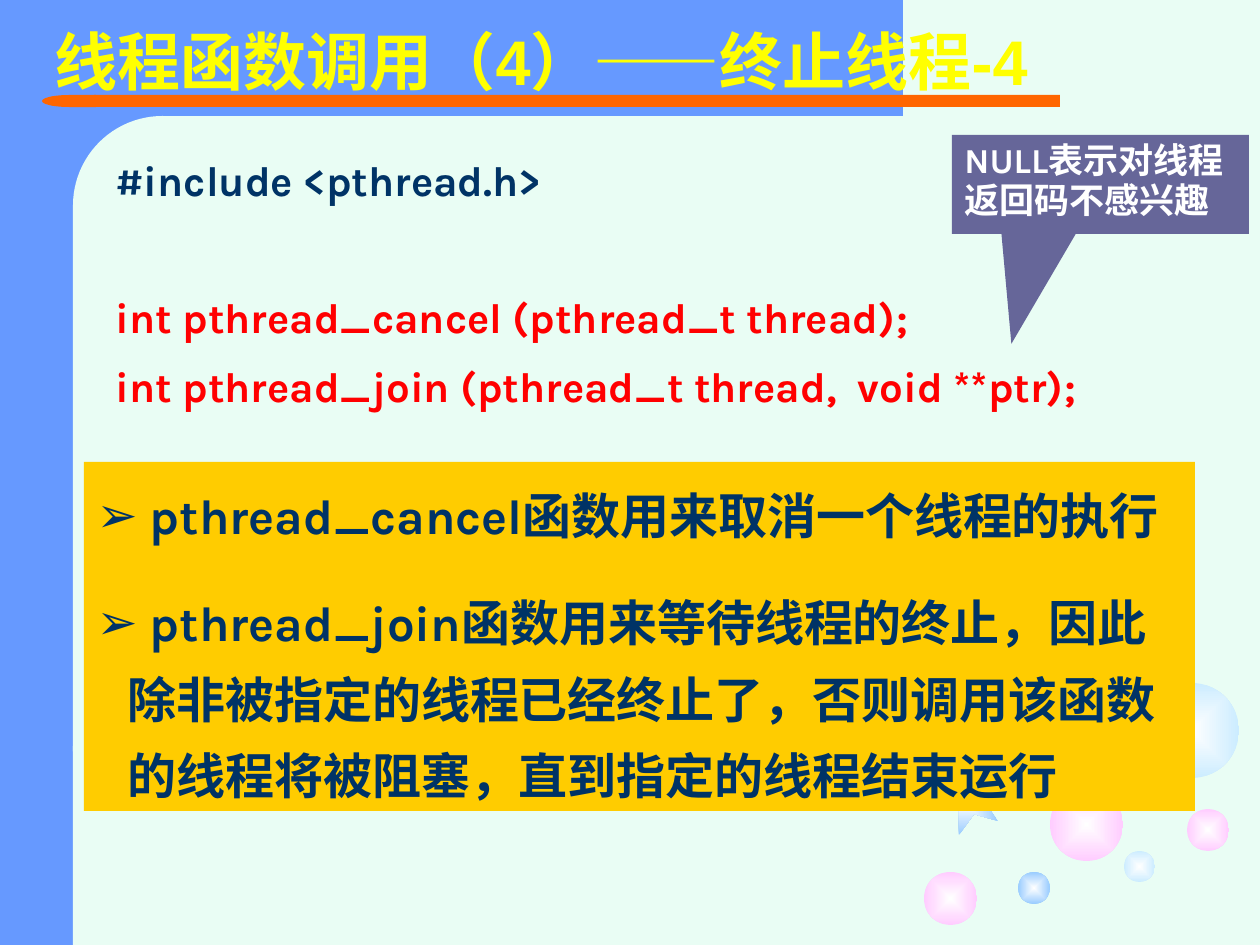
"""Build the slide on cancelling and joining POSIX threads."""
from lxml.etree import SubElement
from pptx import Presentation
from pptx.dml.color import RGBColor
from pptx.enum.shapes import MSO_SHAPE as SHAPE
from pptx.enum.text import MSO_ANCHOR as ANCHOR, MSO_AUTO_SIZE as AUTO, PP_ALIGN as ALIGN
from pptx.oxml.ns import qn
from pptx.util import Pt

PX = 914400 / 126
COLORS = {
    "mint": "E9FDF4", "blue": "6699FF", "orange": "FF6600", "yellow": "FFFF00",
    "navy": "003366", "red": "FF0000", "gold": "FFCC00", "violet": "666699",
    "white": "FFFFFF", "pink": "FFCCFF", "ice": "CCECFF", "sky": "99CCFF",
}

TITLE = "线程函数调用（4）——终止线程-4"
CODE = [
    ("#include <pthread.h>", "navy", 0),
    ("int pthread_cancel (pthread_t thread);", "red", 54),
    ("int pthread_join (pthread_t thread,  void **ptr);", "red", 15),
]
NOTES = [
    (" pthread_cancel函数用来取消一个线程的执行", "navy", 0),
    (" pthread_join函数用来等待线程的终止，因此除非被指定的线程已经终止了，"
     "否则调用该函数的线程将被阻塞，直到指定的线程结束运行", "navy", 17.5),
]
REMARK = "NULL表示对线程返回码不感兴趣"

FRAME = [
    (SHAPE.RECTANGLE, (0, 0, 158, 945), "blue"),
    (SHAPE.RECTANGLE, (63, 0, 840, 116), "blue"),
    (SHAPE.ROUNDED_RECTANGLE, (73, 116, 179, 724), "mint"),
    (SHAPE.RECTANGLE, (94, 95, 966, 12), "orange"),
    (SHAPE.FLOWCHART_DELAY, (42, 95, 54, 12), "orange"),
    (SHAPE.RECTANGLE, (73, 746, 179, 199), "mint"),
]
BUBBLES = [
    (1050, 788, 73, "pink"), (924, 872, 53, "pink"), (1124, 851, 31, "ice"),
    (1187, 809, 42, "pink"), (1144, 683, 95, "ice"), (1018, 872, 32, "sky"),
]
STAR = [(959, 835), (959, 809), (935, 800), (959, 793), (959, 766),
        (974, 788), (998, 780), (983, 800), (998, 821), (974, 814)]


def emu(*lengths):
    return [round(length * PX) for length in lengths]


def rgb(color):
    return RGBColor.from_string(COLORS[color])


def paint(shape, color):
    shape.shadow.inherit = False
    shape.fill.solid()
    shape.fill.fore_color.rgb = rgb(color)
    shape.line.fill.background()


def glow(shape, color):
    paint(shape, color)
    shape.fill.gradient()
    for stop, tint in zip(shape.fill.gradient_stops, ("white", color)):
        stop.color.rgb = rgb(tint)
        stop.position = 0 if tint == "white" else 1
    gradient = shape.element.spPr.find(qn("a:gradFill"))
    gradient.remove(gradient.find(qn("a:lin")))
    path = SubElement(gradient, qn("a:path"), path="rect")
    SubElement(path, qn("a:fillToRect"), dict.fromkeys("ltrb", "50000"))


def add_shape(shapes, kind, box, color):
    shape = shapes.add_shape(kind, *emu(*box))
    paint(shape, color)
    return shape


def place(shape, box):
    shape.left, shape.top, shape.width, shape.height = emu(*box)


def write(shape, lines, size, spacing, font="Karla", anchor=ANCHOR.TOP, bullet=None):
    frame = shape.text_frame
    frame.word_wrap = True
    frame.auto_size = AUTO.NONE
    frame.vertical_anchor = anchor
    for index, (text, color, before) in enumerate(lines):
        paragraph = frame.add_paragraph() if index else frame.paragraphs[0]
        paragraph.text = text
        if bullet:
            margin = emu(31)[0]
            properties = paragraph._p.get_or_add_pPr()
            properties.set("marL", str(margin))
            properties.set("indent", str(-margin))
            SubElement(properties, qn("a:buFont"), typeface="Arial")
            SubElement(properties, qn("a:buChar"), char=bullet)
        paragraph.alignment = ALIGN.LEFT
        paragraph.line_spacing = spacing
        paragraph.space_before = Pt(before)
        paragraph.font.name = font
        paragraph.font.size = Pt(size)
        paragraph.font.bold = True
        paragraph.font.color.rgb = rgb(color)


def main():
    deck = Presentation()
    deck.slide_width, deck.slide_height = emu(1260, 945)
    slide = deck.slides.add_slide(deck.slide_layouts[1])
    slide.background.fill.solid()
    slide.background.fill.fore_color.rgb = rgb("mint")
    shapes = slide.shapes
    title, notes = shapes.title, slide.placeholders[1]

    for kind, box, color in FRAME:
        part = add_shape(shapes, kind, box, color)
        if kind == SHAPE.ROUNDED_RECTANGLE:
            part.adjustments[0] = 0.5
        elif kind == SHAPE.FLOWCHART_DELAY:
            part.rotation = 180
    for left, top, size, color in BUBBLES:
        glow(add_shape(shapes, SHAPE.OVAL, (left, top, size, size), color), color)
    outline = shapes.build_freeform(*STAR[0], scale=PX)
    outline.add_line_segments(STAR[1:])
    glow(outline.convert_to_shape(), "sky")

    shapes.element.append(title.element)
    place(title, (42, 0, 1061, 105))
    write(title, [(TITLE, "yellow", 0)], 36, 0.9, "Arial", ANCHOR.BOTTOM)

    code = shapes.add_textbox(*emu(103, 156, 1129, 263))
    write(code, CODE, 24, 0.85)

    shapes.element.append(notes.element)
    place(notes, (84, 462, 1111, 349))
    notes.fill.solid()
    notes.fill.fore_color.rgb = rgb("gold")
    write(notes, NOTES, 28, 1.3, bullet="➢")

    remark = add_shape(shapes, SHAPE.RECTANGULAR_CALLOUT, (952, 135, 297, 99), "violet")
    remark.adjustments[0], remark.adjustments[1] = -0.3, 1.61
    write(remark, [(REMARK, "white", 0)], 20, 0.95)

    deck.save("out.pptx")


if __name__ == "__main__":
    main()
